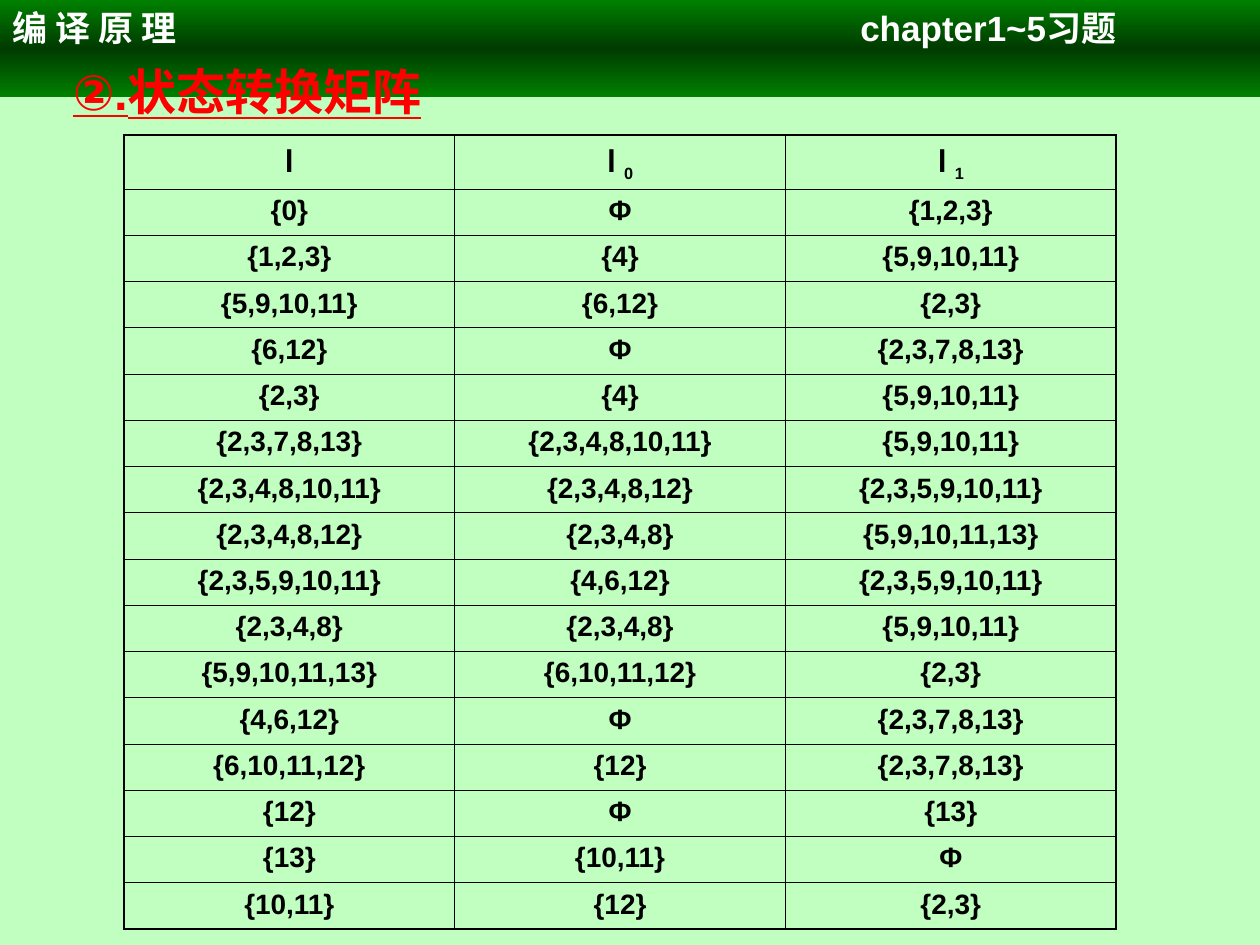
from copy import deepcopy

from lxml.etree import SubElement
from pptx import Presentation
from pptx.dml.color import RGBColor
from pptx.enum.shapes import MSO_SHAPE as Shape
from pptx.enum.text import MSO_ANCHOR as Anchor, MSO_AUTO_SIZE as AutoSize
from pptx.enum.text import PP_ALIGN as Align, PP_PARAGRAPH_ALIGNMENT
from pptx.oxml.ns import qn
from pptx.util import Pt

COLORS = {
    "background": "C1FFC1",
    "band_edge": "008000",
    "band_middle": "003B00",
    "header": "FFFFFF",
    "title": "FF0000",
    "ink": "000000",
}
THIN, THICK = Pt(0.45), Pt(1.08)
STATES = [
    ("{0}", "Φ", "{1,2,3}"),
    ("{1,2,3}", "{4}", "{5,9,10,11}"),
    ("{5,9,10,11}", "{6,12}", "{2,3}"),
    ("{6,12}", "Φ", "{2,3,7,8,13}"),
    ("{2,3}", "{4}", "{5,9,10,11}"),
    ("{2,3,7,8,13}", "{2,3,4,8,10,11}", "{5,9,10,11}"),
    ("{2,3,4,8,10,11}", "{2,3,4,8,12}", "{2,3,5,9,10,11}"),
    ("{2,3,4,8,12}", "{2,3,4,8}", "{5,9,10,11,13}"),
    ("{2,3,5,9,10,11}", "{4,6,12}", "{2,3,5,9,10,11}"),
    ("{2,3,4,8}", "{2,3,4,8}", "{5,9,10,11}"),
    ("{5,9,10,11,13}", "{6,10,11,12}", "{2,3}"),
    ("{4,6,12}", "Φ", "{2,3,7,8,13}"),
    ("{6,10,11,12}", "{12}", "{2,3,7,8,13}"),
    ("{12}", "Φ", "{13}"),
    ("{13}", "{10,11}", "Φ"),
    ("{10,11}", "{12}", "{2,3}"),
]


def color(name):
    return RGBColor.from_string(COLORS[name])


def add_span(para, text, size, color_name, font="Arial", underline=None):
    span = para.add_run()
    span.text = text
    span.font.size = Pt(size)
    span.font.name = font
    span.font.bold = True
    span.font.underline = underline
    span.font.color.rgb = color(color_name)
    return span


def add_header_band(page):
    band = page.shapes.add_shape(Shape.RECTANGLE, 0, 0, Pt(720), Pt(55.44))
    band.shadow.inherit = False
    band.line.fill.background()
    band.fill.gradient()
    band.fill.gradient_angle = 90
    stop_list = band.element.spPr.find(qn("a:gradFill")).find(qn("a:gsLst"))
    stop_list.append(deepcopy(stop_list[0]))
    names = ("band_edge", "band_middle", "band_edge")
    for index, (stop, name) in enumerate(zip(band.fill.gradient_stops, names)):
        stop.position = index / 2
        stop.color.rgb = color(name)
    frame = band.text_frame
    frame.word_wrap = True
    frame.vertical_anchor = Anchor.TOP
    para = frame.paragraphs[0]
    para.alignment = Align.LEFT
    tabs = SubElement(para._p.get_or_add_pPr(), qn("a:tabLst"))
    SubElement(tabs, qn("a:tab"), pos=str(Pt(631)), algn="r")
    add_span(para, "编 译 原 理", 20, "header")
    add_span(para, "\tchapter1~5习题", 20, "header")


def place_title(page):
    title = page.shapes.title
    title.left, title.top = Pt(31), Pt(31.7)
    title.width, title.height = Pt(220.3), Pt(41)
    page.shapes._spTree.append(title.element)
    frame = title.text_frame
    frame.word_wrap = False
    frame.auto_size = AutoSize.NONE
    frame.vertical_anchor = Anchor.TOP
    para = frame.paragraphs[0]
    para.alignment = Align.CENTER
    add_span(para, "②.状态转换矩阵", 28, "title", underline=True)


def set_borders(cell, widths):
    properties = cell._tc.get_or_add_tcPr()
    for side, width in zip("LRTB", widths):
        line = SubElement(properties, qn(f"a:ln{side}"), w=str(width))
        fill = SubElement(line, qn("a:solidFill"))
        SubElement(fill, qn("a:srgbClr"), val=COLORS["ink"])


def fill_heading(para, subscript):
    add_span(para, "I", 18, "ink", font="Lato")
    if subscript:
        add_span(para, " ", 16, "ink")
        index = add_span(para, subscript, 16, "ink")
        index.font._element.set("baseline", "-25000")


def add_state_table(page):
    row_count, column_count = len(STATES) + 1, len(STATES[0])
    table = page.shapes.add_table(
        row_count, column_count, Pt(70.8), Pt(77.1), Pt(567), Pt(454)
    ).table
    table.first_row = table.horz_banding = False
    for column in table.columns:
        column.width = Pt(189)
    for number, row in enumerate(table.rows):
        row.height = Pt(26.43 if number else 31)
        for position, cell in enumerate(row.cells):
            outer = (
                position == 0,
                position == column_count - 1,
                number == 0,
                number == row_count - 1,
            )
            set_borders(cell, [THICK if edge else THIN for edge in outer])
            cell.fill.background()
            para = cell.text_frame.paragraphs[0]
            para.alignment = Align.CENTER
            if number:
                add_span(para, STATES[number - 1][position], 16, "ink")
            else:
                fill_heading(para, ("", "0", "1")[position])


def main():
    deck = Presentation()
    deck.slide_width, deck.slide_height = Pt(720), Pt(540)
    page = deck.slides.add_slide(deck.slide_layouts[5])
    page.background.fill.solid()
    page.background.fill.fore_color.rgb = color("background")
    add_header_band(page)
    place_title(page)
    add_state_table(page)
    deck.save("out.pptx")


if __name__ == "__main__":
    main()
